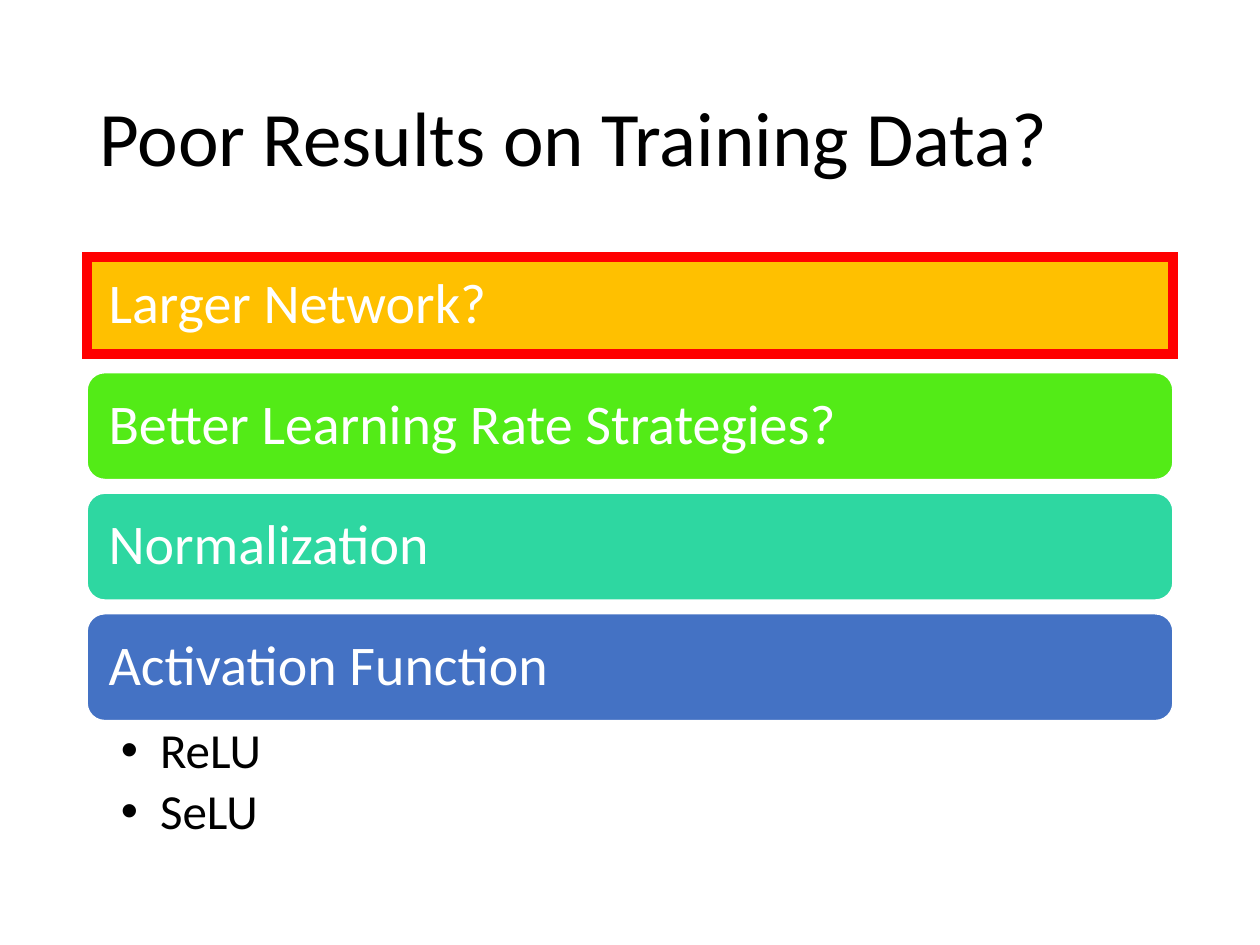
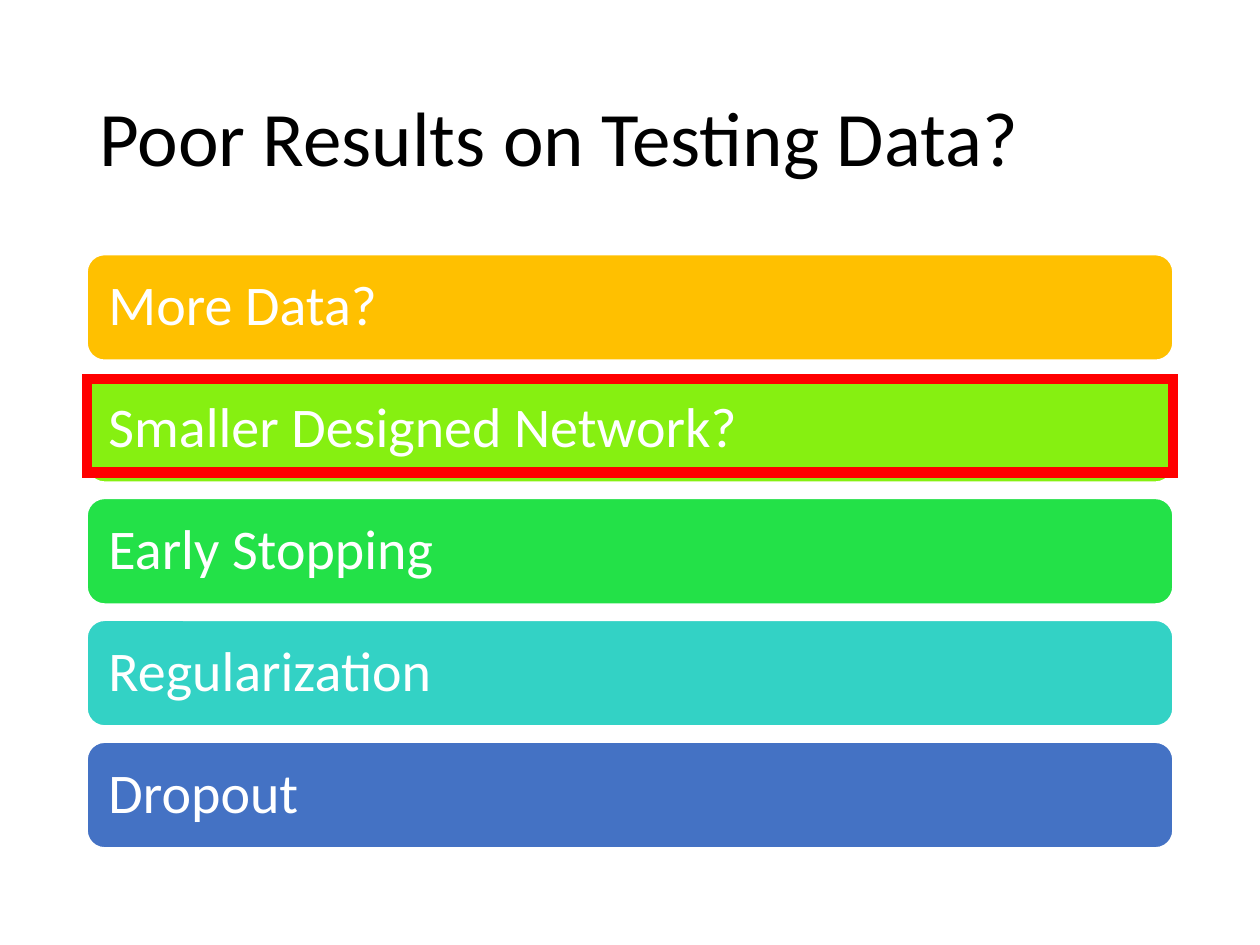
from dataclasses import dataclass

from lxml.etree import SubElement
from pptx import Presentation
from pptx.dml.color import RGBColor
from pptx.enum.shapes import MSO_SHAPE as Shape
from pptx.enum.text import MSO_ANCHOR as Anchor, PP_ALIGN as Align
from pptx.oxml.ns import qn
from pptx.util import Inches, Pt


@dataclass(frozen=True)
class Theme:
    """Colours, font and sizes shared by the slides."""
    font: str = "Calibri"
    title_size: int = 44
    bar_size: int = 32
    bullet_size: int = 28
    ink: str = "000000"
    paper: str = "FFFFFF"
    accent: str = "FF0000"
    line_spacing: float = 0.9


@dataclass(frozen=True)
class Box:
    """A rectangle in inches."""
    x: float
    y: float
    w: float
    h: float

    def lengths(self):
        """Return left, top, width and height as lengths."""
        return [Inches(v) for v in (self.x, self.y, self.w, self.h)]


THEME = Theme()
LEFT, WIDTH = 0.69, 8.62
TITLE_BOX = Box(LEFT, 0.4, WIDTH, 1.45)


def rgb(color):
    """Turn a hex string into a colour."""
    return RGBColor.from_string(color)


def write(s, *lines, size, color, anchor=Anchor.MIDDLE,
          insets=(0.1, 0.05, 0.1, 0.05), after=0, bullet=None, indent=0):
    """Write one paragraph per line into a shape."""
    tf = s.text_frame
    tf.word_wrap = True
    tf.vertical_anchor = anchor
    tf.margin_left, tf.margin_top, tf.margin_right, tf.margin_bottom = map(Inches, insets)
    for i, line in enumerate(lines):
        p = tf.add_paragraph() if i else tf.paragraphs[0]
        p.alignment = Align.LEFT
        p.line_spacing = THEME.line_spacing
        p.space_after = Pt(after)
        if bullet:
            props = p._p.get_or_add_pPr()
            props.set("marL", str(Inches(indent)))
            props.set("indent", str(-Inches(indent)))
            SubElement(props, qn("a:buFont"), typeface="Arial")
            SubElement(props, qn("a:buChar"), char=bullet)
        r = p.add_run()
        r.text = line
        r.font.name, r.font.size = THEME.font, Pt(size)
        r.font.color.rgb = rgb(color)


def add_shape(slide, kind, box, line, width, fill=None):
    """Add a flat outlined shape, hollow when it has no fill."""
    s = slide.shapes.add_shape(kind, *box.lengths())
    s.shadow.inherit = False
    if fill:
        s.fill.solid()
        s.fill.fore_color.rgb = rgb(fill)
    else:
        s.fill.background()
    s.line.color.rgb = rgb(line)
    s.line.width = Pt(width)
    return s


def add_title(slide, box, text):
    """Add the slide title."""
    s = slide.shapes.add_textbox(*box.lengths())
    write(s, text, size=THEME.title_size, color=THEME.ink)


def add_bars(slide, box, bar_height, bars):
    """Spread labelled bars evenly over the height of the box."""
    pitch = (box.h - bar_height) / (len(bars) - 1)
    for i, (label, fill) in enumerate(bars):
        bar = Box(box.x, box.y + i * pitch, box.w, bar_height)
        s = add_shape(slide, Shape.ROUNDED_RECTANGLE, bar, THEME.paper, 1, fill)
        write(s, label, size=THEME.bar_size, color=THEME.paper, insets=(0.13,) * 4)


def add_bullets(slide, box, items):
    """Add the bulleted details under the last bar."""
    s = slide.shapes.add_textbox(*box.lengths())
    write(s, *items, size=THEME.bullet_size, color=THEME.ink, anchor=Anchor.TOP,
          insets=(0.27, 0.04, 0.22, 0.04), after=5, bullet="•", indent=0.31)


def add_highlight(slide, box):
    """Frame a bar with a sharp-cornered outline."""
    s = add_shape(slide, Shape.RECTANGLE, box, THEME.accent, 6)
    SubElement(s.line._get_or_add_ln(), qn("a:miter"), lim="800000")


def add_checklist(prs, title, bars, bars_box, bar_height, highlight, details=()):
    """Build a slide with a title, a stack of bars and one highlight."""
    slide = prs.slides.add_slide(prs.slide_layouts[6])
    add_title(slide, TITLE_BOX, title)
    add_bars(slide, bars_box, bar_height, bars)
    if details:
        bottom = bars_box.y + bars_box.h
        add_bullets(slide, Box(bars_box.x, bottom, bars_box.w, 1.04), details)
    add_highlight(slide, highlight)


def main():
    """Build and save the presentation."""
    prs = Presentation()
    prs.slide_width, prs.slide_height = Inches(10), Inches(7.5)
    add_checklist(
        prs, "Poor Results on Training Data?",
        [("Larger Network?", "FFC000"),
         ("Better Learning Rate Strategies?", "53EB17"),
         ("Normalization", "2ED7A1"),
         ("Activation Function", "4472C4")],
        bars_box=Box(LEFT, 2, WIDTH, 3.72), bar_height=0.85,
        highlight=Box(LEFT, 2.04, WIDTH, 0.77), details=("ReLU", "SeLU"))
    add_checklist(
        prs, "Poor Results on Testing Data?",
        [("More Data?", "FFC000"),
         ("Smaller Designed Network?", "86F011"),
         ("Early Stopping", "23E148"),
         ("Regularization", "33D2C5"),
         ("Dropout", "4472C4")],
        bars_box=Box(LEFT, 2.02, WIDTH, 4.71), bar_height=0.84,
        highlight=Box(LEFT, 3.01, WIDTH, 0.74))
    prs.save("out.pptx")


if __name__ == "__main__":
    main()
